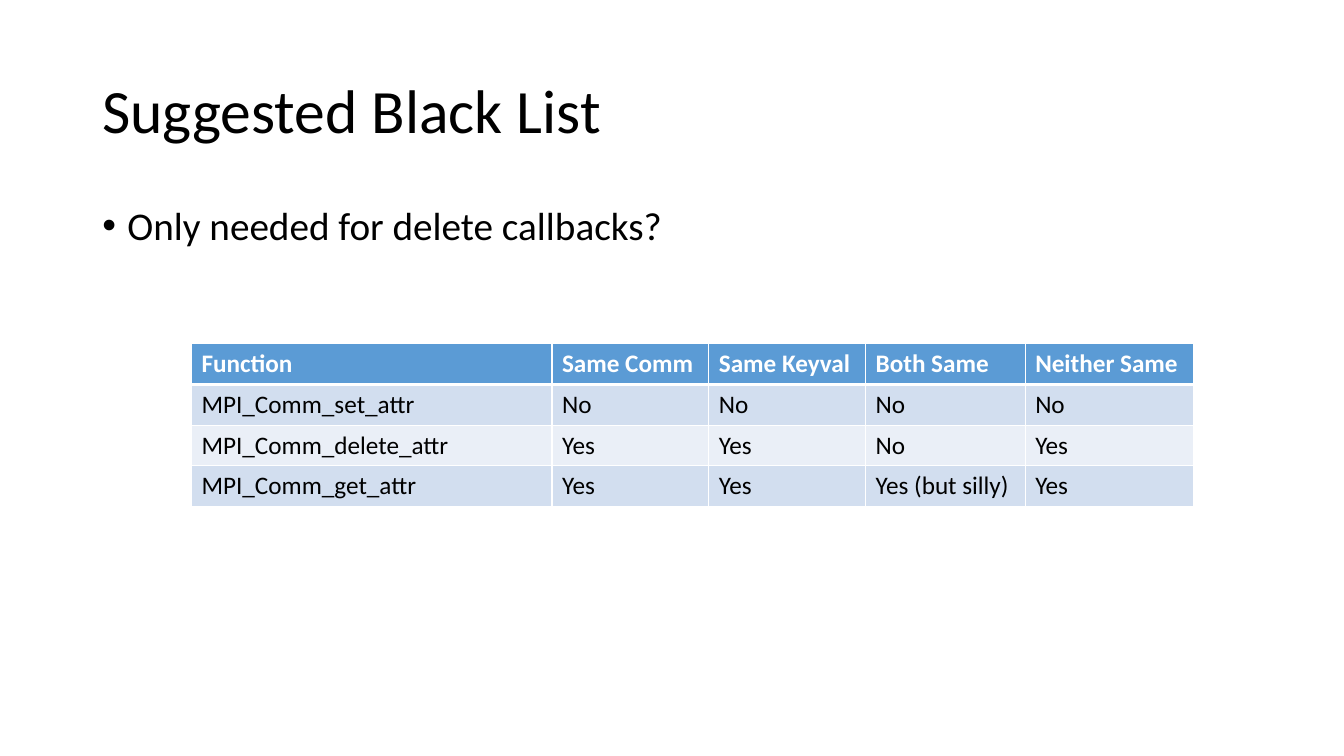
from lxml.etree import SubElement
from pptx import Presentation
from pptx.dml.color import RGBColor
from pptx.enum.text import MSO_ANCHOR
from pptx.oxml.ns import qn
from pptx.util import Pt

COLORS = {
    "text": "000000",
    "white": "FFFFFF",
    "header": "5B9BD5",
    "band_dark": "D2DEEF",
    "band_light": "EAEFF7",
}


def style(paragraph, size, color="text", bold=False):
    font = paragraph.font
    font.name = "Calibri"
    font.size = Pt(size)
    font.bold = bold
    font.color.rgb = RGBColor.from_string(COLORS[color])


def add_border(cell, side, width):
    line = SubElement(cell._tc.get_or_add_tcPr(), qn(f"a:{side}"), w=str(Pt(width)))
    fill = SubElement(line, qn("a:solidFill"))
    SubElement(fill, qn("a:srgbClr"), val=COLORS["white"])


presentation = Presentation()
presentation.slide_width = Pt(960)
presentation.slide_height = Pt(540)
slide = presentation.slides.add_slide(presentation.slide_layouts[6])

# Title
title = slide.shapes.add_textbox(Pt(66), Pt(28.75), Pt(828), Pt(104.4)).text_frame
title.word_wrap = True
title.vertical_anchor = MSO_ANCHOR.MIDDLE
heading = title.paragraphs[0]
heading.text = "Suggested Black List"
heading.line_spacing = 0.9
style(heading, 44)

# Bulleted question
body = slide.shapes.add_textbox(Pt(66), Pt(143.75), Pt(820.8), Pt(41)).text_frame
body.word_wrap = True
question = body.paragraphs[0]
question.text = "Only needed for delete callbacks?"
question.line_spacing = 0.9
indents = question._p.get_or_add_pPr()
indents.set("marL", str(Pt(18)))
indents.set("indent", str(Pt(-18)))
SubElement(indents, qn("a:buFont"), typeface="Arial")
SubElement(indents, qn("a:buChar"), char="•")
style(question, 28)

# Function table
functions = [
    ["Function", "Same Comm", "Same Keyval", "Both Same", "Neither Same"],
    ["MPI_Comm_set_attr", "No", "No", "No", "No"],
    ["MPI_Comm_delete_attr", "Yes", "Yes", "No", "Yes"],
    ["MPI_Comm_get_attr", "Yes", "Yes", "Yes (but silly)", "Yes"],
]
column_widths = [257.5, 112, 112, 114, 120.5]
row_height = 29.1
table = slide.shapes.add_table(
    len(functions), len(column_widths), Pt(136.8), Pt(245.5),
    Pt(sum(column_widths)), Pt(row_height * len(functions))).table

for column, width in zip(table.columns, column_widths):
    column.width = Pt(width)

for row_index, entries in enumerate(functions):
    table.rows[row_index].height = Pt(row_height)
    is_header = row_index == 0
    band = "header" if is_header else "band_dark" if row_index % 2 else "band_light"
    for column_index, entry in enumerate(entries):
        cell = table.cell(row_index, column_index)
        cell.text = entry
        style(cell.text_frame.paragraphs[0], 18, "white" if is_header else "text", is_header)
        # The rule under the header is thicker than the others
        add_border(cell, "lnL", 1)
        add_border(cell, "lnR", 1)
        add_border(cell, "lnT", 3 if row_index == 1 else 1)
        add_border(cell, "lnB", 3 if is_header else 1)
        cell.fill.solid()
        cell.fill.fore_color.rgb = RGBColor.from_string(COLORS[band])

presentation.save("out.pptx")
